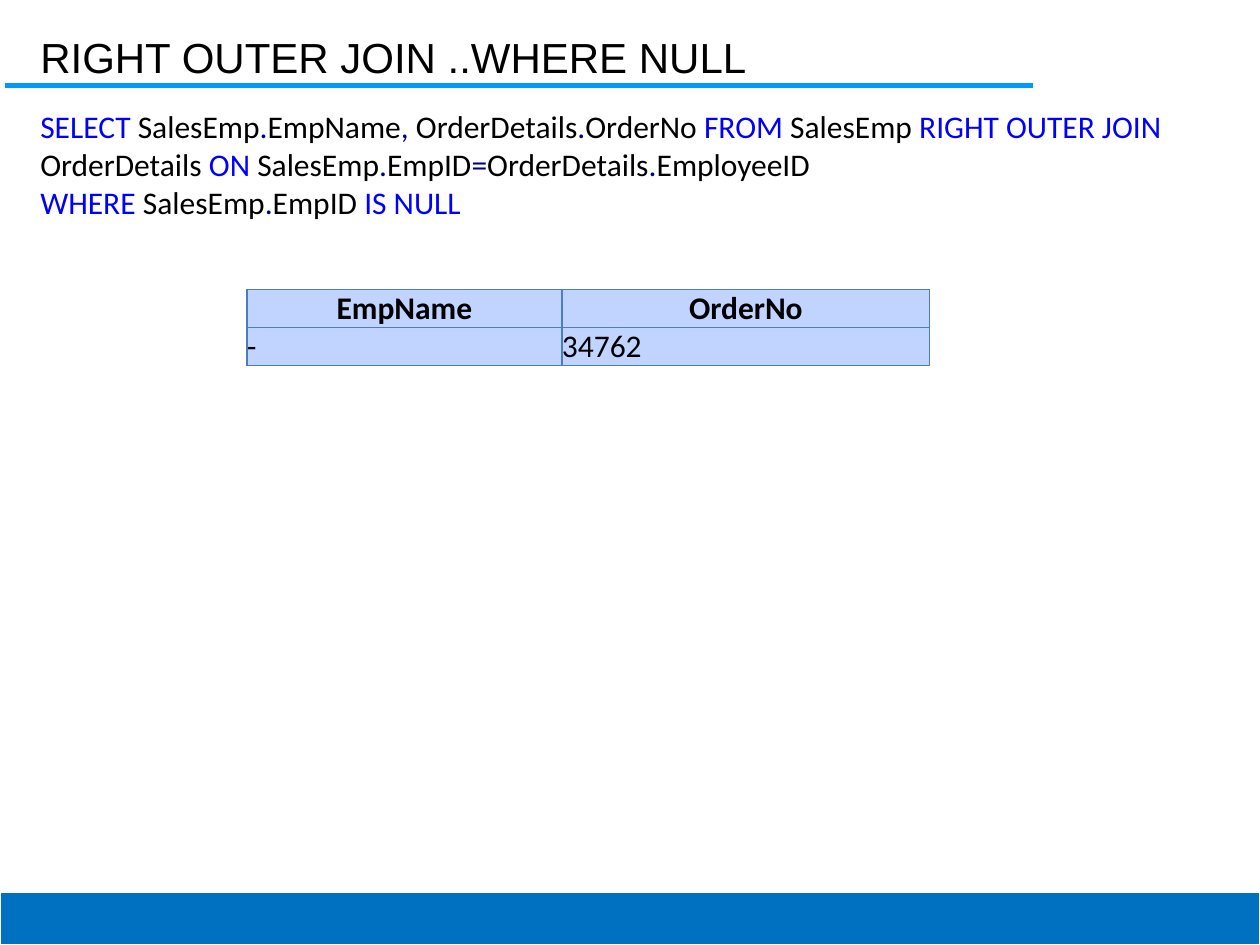
from lxml import etree
from pptx import Presentation
from pptx.dml.color import RGBColor
from pptx.enum.shapes import MSO_CONNECTOR, MSO_SHAPE
from pptx.enum.text import MSO_ANCHOR, PP_ALIGN
from pptx.oxml.ns import qn
from pptx.util import Inches, Pt

STRAIGHT = MSO_CONNECTOR.STRAIGHT
RECTANGLE = MSO_SHAPE.RECTANGLE
TOP, MIDDLE = MSO_ANCHOR.TOP, MSO_ANCHOR.MIDDLE
LEFT, CENTER = PP_ALIGN.LEFT, PP_ALIGN.CENTER

BLACK = RGBColor(0x00, 0x00, 0x00)
WHITE = RGBColor(0xFF, 0xFF, 0xFF)
KEYWORD = RGBColor(0x00, 0x00, 0xFF)
SYMBOL = RGBColor(0x00, 0x00, 0x80)
RULE_BLUE = RGBColor(0x00, 0x99, 0xFF)
FOOTER_BLUE = RGBColor(0x00, 0x70, 0xC0)
CELL_BLUE = RGBColor(0xC0, 0xD4, 0xFF)
BORDER_BLUE = RGBColor(0x4B, 0x7E, 0xBC)

WIDTH, HEIGHT = 10, 7.5
MARGIN = 0.23
ROW_HEIGHT = 0.3
COLUMN_WIDTHS = [2.5, 2.92]


def column(table, field):
    """Spans of a qualified column name."""
    return [(table, BLACK), (".", SYMBOL), (field, BLACK)]


QUERY = [
    [("SELECT ", KEYWORD), *column("SalesEmp", "EmpName"), (", ", SYMBOL),
     *column("OrderDetails", "OrderNo "), ("FROM ", KEYWORD),
     ("SalesEmp ", BLACK), ("RIGHT OUTER JOIN ", KEYWORD),
     ("OrderDetails ", BLACK), ("ON ", KEYWORD),
     *column("SalesEmp", "EmpID"), ("=", SYMBOL),
     *column("OrderDetails", "EmployeeID")],
    [("WHERE ", KEYWORD), *column("SalesEmp", "EmpID "),
     ("IS NULL", KEYWORD)],
]
RESULT = [["EmpName", "OrderNo"], ["-", "34762"]]


def add_spans(para, spans, font, size, bold=False):
    for text, color in spans:
        span = para.add_run()
        span.text = text
        span.font.name = font
        span.font.size = Pt(size)
        span.font.bold = bold
        span.font.color.rgb = color


def add_text(page, place, lines, font, size, inset_top=0.05):
    box = page.shapes.add_textbox(*map(Inches, place))
    frame = box.text_frame
    frame.word_wrap = True
    frame.vertical_anchor = TOP
    frame.margin_left = frame.margin_right = Inches(0.09)
    frame.margin_top = Inches(inset_top)
    for index, spans in enumerate(lines):
        para = frame.add_paragraph() if index else frame.paragraphs[0]
        add_spans(para, spans, font, size)


def add_rule(page, left, right, top):
    rule = page.shapes.add_connector(
        STRAIGHT, Inches(left), Inches(top), Inches(right), Inches(top))
    rule.line.color.rgb = RULE_BLUE
    rule.line.width = Pt(2.89)
    etree.SubElement(rule._element.spPr, qn("a:effectLst"))


def add_footer(page, height):
    band = page.shapes.add_shape(
        RECTANGLE, 0, Inches(HEIGHT - height), Inches(WIDTH), Inches(height))
    band.shadow.inherit = False
    band.fill.solid()
    band.fill.fore_color.rgb = FOOTER_BLUE
    band.line.color.rgb = WHITE
    band.line.width = Pt(0.75)


def style_cell(cell):
    cell.margin_left = cell.margin_right = 0
    cell.margin_top = cell.margin_bottom = 0
    cell.vertical_anchor = MIDDLE
    properties = cell._tc.get_or_add_tcPr()
    # Borders come before the fill in the cell properties
    for side in ("a:lnL", "a:lnR", "a:lnT", "a:lnB"):
        border = etree.SubElement(properties, qn(side), w=str(Pt(0.75)))
        fill = etree.SubElement(border, qn("a:solidFill"))
        etree.SubElement(fill, qn("a:srgbClr"), val=str(BORDER_BLUE))
    cell.fill.solid()
    cell.fill.fore_color.rgb = CELL_BLUE


def add_result(page, left, top):
    table = page.shapes.add_table(
        len(RESULT), len(COLUMN_WIDTHS), Inches(left), Inches(top),
        Inches(sum(COLUMN_WIDTHS)), Inches(ROW_HEIGHT * len(RESULT))).table
    for table_column, width in zip(table.columns, COLUMN_WIDTHS):
        table_column.width = Inches(width)
    for row_index, values in enumerate(RESULT):
        header = row_index == 0
        for column_index, value in enumerate(values):
            cell = table.cell(row_index, column_index)
            style_cell(cell)
            para = cell.text_frame.paragraphs[0]
            para.alignment = CENTER if header else LEFT
            add_spans(para, [(value, BLACK)], "Calibri", 18, header)


def main():
    deck = Presentation()
    deck.slide_width, deck.slide_height = Inches(WIDTH), Inches(HEIGHT)
    page = deck.slides.add_slide(deck.slide_layouts[6])

    # Heading and footer band
    add_rule(page, 0.04, 8.2, 0.68)
    add_text(page, (MARGIN, 0.17, 7.97, 0.4),
             [[("RIGHT OUTER JOIN ..WHERE NULL", BLACK)]], "Arial", 24, 0.08)
    add_footer(page, 0.42)

    # Query and its result
    add_text(page, (MARGIN, 0.8, 9.44, 1.01), QUERY, "Calibri", 18)
    add_result(page, 1.96, 2.3)

    deck.save("out.pptx")


if __name__ == "__main__":
    main()
